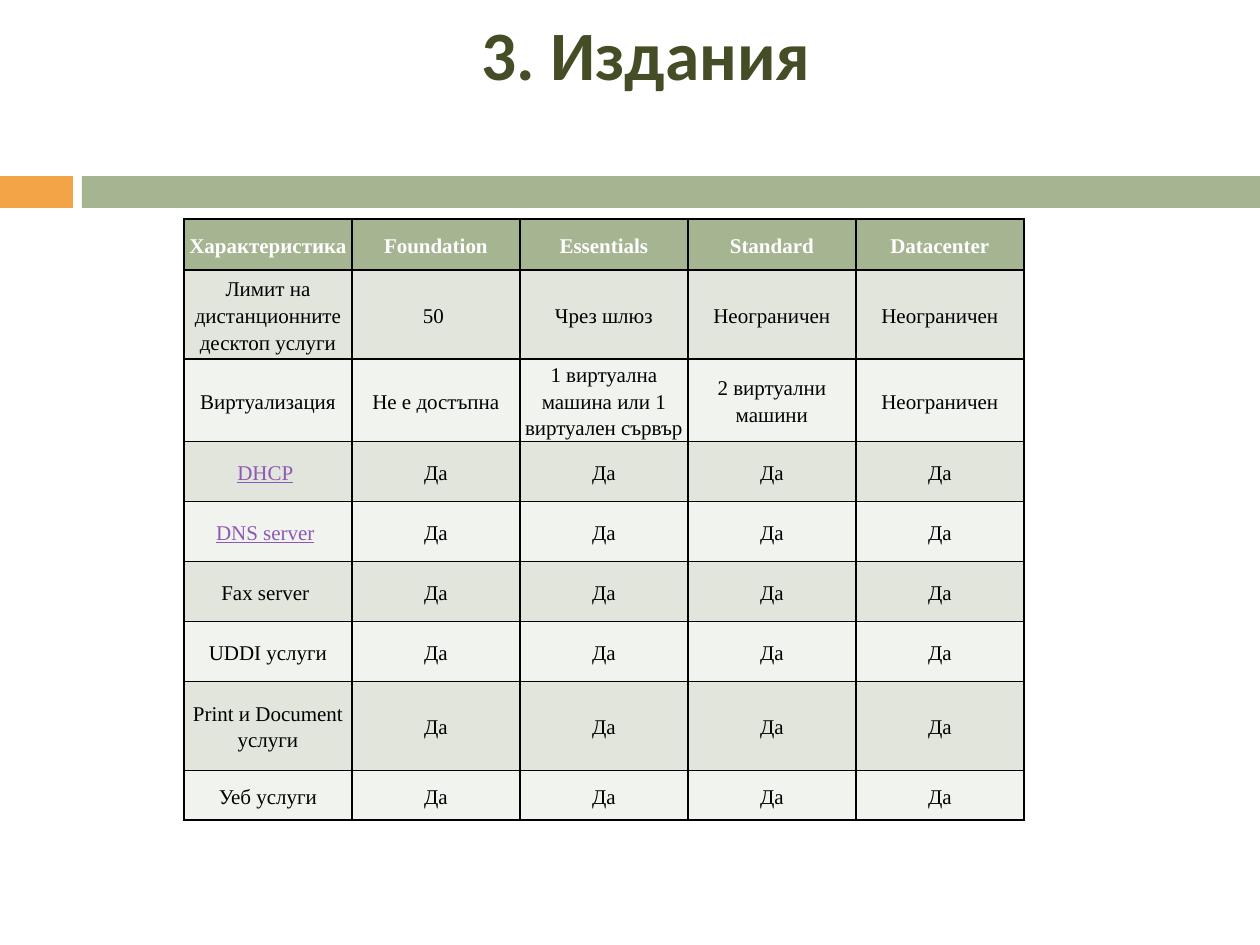
from typing import NamedTuple

from lxml.etree import SubElement
from pptx import Presentation
from pptx.dml.color import RGBColor
from pptx.enum.shapes import MSO_SHAPE as Preset
from pptx.enum.text import MSO_ANCHOR as Anchor, PP_ALIGN as Align
from pptx.oxml.ns import qn
from pptx.util import Emu, Pt

ORANGE, GREEN = "F3A447", "A5B592"
BAND_DARK, BAND_LIGHT = "E1E5DC", "F0F3EE"
TITLE_COLOR, LINK_COLOR = "444D26", "8E58B6"
BLACK, WHITE = "000000", "FFFFFF"
YES, UNLIMITED = "Да", "Неограничен"
COLUMN_WIDTH = 168


class Bar(NamedTuple):
    """A coloured strip under the title."""
    left: int
    width: int
    color: str


class Row(NamedTuple):
    """A table row: its height, its cell texts and whether its label is a link."""
    height: int
    texts: list[str]
    link: bool = False


BARS = [Bar(0, 73, ORANGE), Bar(82, 1178, GREEN)]
ROWS = [
    Row(51, ["Характеристика", "Foundation", "Essentials", "Standard", "Datacenter"]),
    Row(89, ["Лимит на дистанционните десктоп услуги", "50 ", "Чрез шлюз", UNLIMITED, UNLIMITED]),
    Row(60, ["Виртуализация", "Не е достъпна", "1 виртуална машина или 1 виртуален сървър",
             "2 виртуални машини", UNLIMITED]),
    Row(60, ["DHCP"] + [YES] * 4, link=True),
    Row(60, ["DNS server"] + [YES] * 4, link=True),
    Row(60, ["Fax server "] + [YES] * 4),
    Row(60, ["UDDI услуги"] + [YES] * 4),
    Row(89, ["Print и Document услуги"] + [YES] * 4),
    Row(50, ["Уеб услуги"] + [YES] * 4),
]


def px(length: int) -> Emu:
    """Turn pixels, 126 to the inch, into EMU."""
    return Emu(round(length * 914400 / 126))


def rgb(color: str) -> RGBColor:
    """Turn a hex string into a colour."""
    return RGBColor.from_string(color)


def add_run(paragraph, text: str, size: float, name: str, color: str, bold: bool = False,
            underline: bool = False) -> None:
    """Add one formatted run to a paragraph."""
    run = paragraph.add_run()
    run.text = text
    font = run.font
    font.size, font.name, font.bold, font.underline = Pt(size), name, bold, underline
    font.color.rgb = rgb(color)


def add_bar(slide, bar: Bar) -> None:
    """Draw one strip."""
    shape = slide.shapes.add_shape(Preset.RECTANGLE, px(bar.left), px(176), px(bar.width), px(32))
    shape.shadow.inherit = False
    shape.fill.solid()
    shape.fill.fore_color.rgb = rgb(bar.color)
    shape.line.fill.background()


def set_title(slide) -> None:
    """Place and fill the title."""
    title = slide.shapes.title
    title.left, title.top, title.width, title.height = px(84), px(31), px(1124), px(136)
    title.text_frame.vertical_anchor = Anchor.MIDDLE
    paragraph = title.text_frame.paragraphs[0]
    paragraph.alignment = Align.CENTER
    add_run(paragraph, "3. Издания", 39.6, "Calibri", TITLE_COLOR, bold=True)
    paragraph.add_line_break()


def add_borders(cell) -> None:
    """Put a thin black line on each side of a cell, ahead of its fill."""
    properties = cell._tc.get_or_add_tcPr()
    for position, side in enumerate(("a:lnL", "a:lnR", "a:lnT", "a:lnB")):
        line = SubElement(properties, qn(side), w=str(Pt(1)))
        fill = SubElement(line, qn("a:solidFill"))
        SubElement(fill, qn("a:srgbClr"), val=BLACK)
        properties.insert(position, line)


def fill_cell(cell, text: str, fill: str, header: bool, link: bool) -> None:
    """Write and format one table cell."""
    cell.margin_left = cell.margin_right = cell.margin_top = cell.margin_bottom = px(1)
    cell.vertical_anchor = Anchor.MIDDLE
    cell.fill.solid()
    cell.fill.fore_color.rgb = rgb(fill)
    add_borders(cell)
    paragraph = cell.text_frame.paragraphs[0]
    paragraph.alignment = Align.CENTER
    paragraph.line_spacing = 1.15
    if text in (YES, UNLIMITED):
        paragraph.space_after = Pt(10)
    color = WHITE if header else LINK_COLOR if link else BLACK
    add_run(paragraph, text, 12, "Times New Roman", color, bold=header, underline=link)
    if link:
        add_run(paragraph, " ", 12, "Times New Roman", BLACK)


def add_editions_table(slide, rows: list[Row]) -> None:
    """Build the table that compares the editions."""
    columns = len(rows[0].texts)
    height = sum(row.height for row in rows)
    table = slide.shapes.add_table(len(rows), columns, px(184), px(219),
                                   px(columns * COLUMN_WIDTH), px(height)).table
    table.horz_banding = False
    for column in table.columns:
        column.width = px(COLUMN_WIDTH)
    for row_index, row in enumerate(rows):
        table.rows[row_index].height = px(row.height)
        header = row_index == 0
        fill = GREEN if header else BAND_DARK if row_index % 2 else BAND_LIGHT
        for column_index, text in enumerate(row.texts):
            fill_cell(table.cell(row_index, column_index), text, fill, header,
                      row.link and column_index == 0)


def main() -> None:
    """Build the slide and save it."""
    presentation = Presentation()
    presentation.slide_width, presentation.slide_height = px(1260), px(945)
    slide = presentation.slides.add_slide(presentation.slide_layouts[5])
    for bar in BARS:
        add_bar(slide, bar)
    set_title(slide)
    add_editions_table(slide, ROWS)
    presentation.save("out.pptx")


if __name__ == "__main__":
    main()
